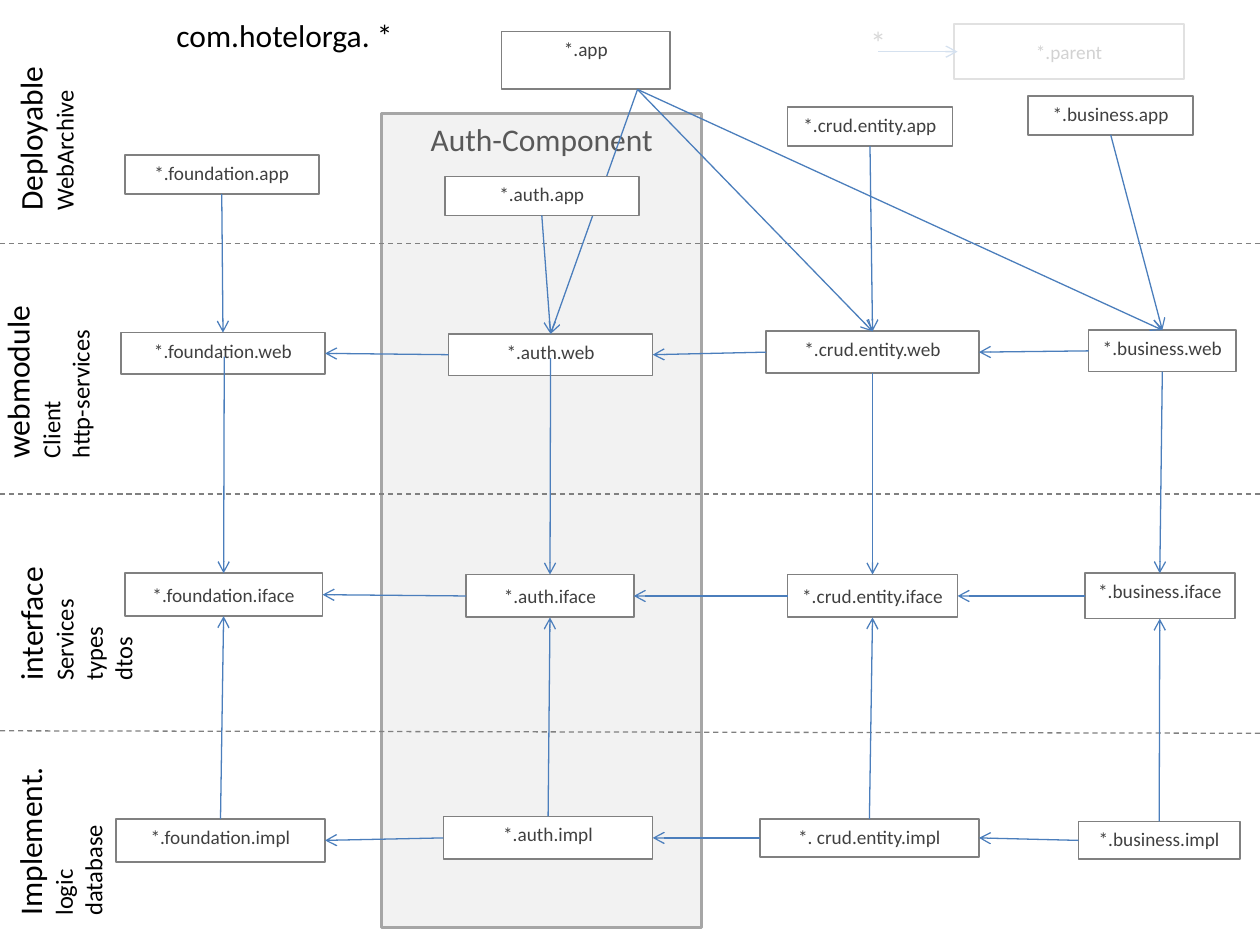
from lxml import etree
from pptx import Presentation
from pptx.dml.color import RGBColor
from pptx.enum.dml import MSO_LINE
from pptx.enum.shapes import MSO_CONNECTOR, MSO_SHAPE
from pptx.enum.text import MSO_ANCHOR, MSO_AUTO_SIZE, PP_ALIGN
from pptx.oxml.ns import qn
from pptx.util import Pt

PX = 9144  # EMU per px, 100 px to the inch
FONT = "Calibri"
BLACK = RGBColor(0x00, 0x00, 0x00)
WHITE = RGBColor(0xFF, 0xFF, 0xFF)
PANEL_FILL = RGBColor(0xF2, 0xF2, 0xF2)
PANEL_LINE = RGBColor(0xA6, 0xA6, 0xA6)
GRAY = RGBColor(0x80, 0x80, 0x80)
HEADING = RGBColor(0x59, 0x59, 0x59)
LABEL = RGBColor(0x40, 0x40, 0x40)
BLUE = RGBColor(0x4B, 0x7E, 0xBC)

STRAIGHT = MSO_CONNECTOR.STRAIGHT
RECT = MSO_SHAPE.RECTANGLE
DASH = MSO_LINE.DASH
TOP, MIDDLE = MSO_ANCHOR.TOP, MSO_ANCHOR.MIDDLE
LEFT, CENTER = PP_ALIGN.LEFT, PP_ALIGN.CENTER
FIT = MSO_AUTO_SIZE.SHAPE_TO_FIT_TEXT
SIDE_TOP, SIDE_LEFT, SIDE_BOTTOM, SIDE_RIGHT = range(4)

# label, frame, fill, anchor
MODULES = [
    ("*.app", (398, 25, 134, 46), None, TOP),
    ("*.parent", (757, 19, 183, 44), None, MIDDLE),
    ("*.foundation.app", (99, 123, 154, 31), WHITE, TOP),
    ("*.business.app", (816, 76, 131, 31), None, TOP),
    ("*.foundation.web", (96, 264, 162, 33), WHITE, TOP),
    ("*.auth.web", (356, 265, 162, 33), WHITE, TOP),
    ("*.crud.entity.web", (608, 263, 169, 33), None, TOP),
    ("*.business.web", (864, 262, 117, 33), None, TOP),
    ("*.foundation.iface", (99, 455, 157, 34), WHITE, MIDDLE),
    ("*.auth.iface", (370, 456, 133, 34), WHITE, MIDDLE),
    ("*.crud.entity.iface", (625, 456, 135, 34), None, MIDDLE),
    ("*.business.iface", (861, 455, 119, 36), None, TOP),
    ("*.foundation.impl", (92, 650, 166, 34), WHITE, TOP),
    ("*.auth.impl", (352, 648, 166, 34), WHITE, TOP),
    ("*. crud.entity.impl", (603, 650, 174, 30), None, TOP),
    ("*.business.impl", (856, 652, 128, 30), None, TOP),
]
# These two cover the arrows that leave *.app
FRONT_MODULES = [
    ("*.auth.app", (353, 140, 154, 31), WHITE, TOP),
    ("*.crud.entity.app", (625, 85, 131, 31), WHITE, TOP),
]
COLUMNS = ["*.foundation", "*.auth", "*.crud.entity", "*.business"]
# Arrows that start inside the web box
INNER_STARTS = {"*.foundation": (178, 283), "*.auth": (437, 284)}
LAYERS = [
    ((-32, 77, 136, 64), ["Deployable", "WebArchive"]),
    ((-34, 258, 143, 88), ["webmodule", "Client", "http-services"]),
    ((4, 439, 111, 111), ["interface", "Services", "types", "dtos"]),
    ((-22, 623, 139, 88), ["Implement.", "logic", "database"]),
]
DIVIDERS = [(193, 193), (392, 392), (580, 582)]


def emu(lengths):
    return [n * PX for n in lengths]


def write(tf, lines, color, align, anchor=TOP):
    """Fill a text frame with (text, size) lines."""
    tf.vertical_anchor = anchor
    for i, (text, size) in enumerate(lines):
        p = tf.paragraphs[0] if i == 0 else tf.add_paragraph()
        p.alignment = align
        r = p.add_run()
        r.text = text
        r.font.name, r.font.size = FONT, Pt(size)
        r.font.color.rgb = color


def set_alpha(sp, percent):
    color = sp.fill._xPr.find(qn("a:solidFill"))[0]
    etree.SubElement(color, qn("a:alpha")).set("val", str(percent * 1000))


def add_box(s, frame, fill, line=None, width=1):
    sp = s.shapes.add_shape(RECT, *emu(frame))
    sp.shadow.inherit = False
    if fill is None:
        sp.fill.background()
    else:
        sp.fill.solid()
        sp.fill.fore_color.rgb = fill
    if line is None:
        sp.line.fill.background()
    else:
        sp.line.color.rgb = line
        sp.line.width = Pt(width)
    return sp


def add_module(s, label, frame, fill, anchor):
    sp = add_box(s, frame, fill, GRAY)
    write(sp.text_frame, [(label, 11)], LABEL, CENTER, anchor)
    return sp


def add_label(s, frame, lines, color=BLACK, rotation=0):
    sp = s.shapes.add_textbox(*emu(frame))
    sp.rotation = rotation
    tf = sp.text_frame
    tf.word_wrap, tf.auto_size = False, FIT
    write(tf, lines, color, LEFT)


def add_line(s, start, end, color):
    c = s.shapes.add_connector(STRAIGHT, *emu(start + end))
    c.line.color.rgb = color
    c.line.width = Pt(0.75)
    etree.SubElement(c._element.spPr, qn("a:effectLst"))
    return c


def add_arrow(s, start, end):
    """Each end is a point or a (shape, side) pair."""
    free = [e if isinstance(e[0], int) else (0, 0) for e in (start, end)]
    c = add_line(s, *free, BLUE)
    if free[0] != start:
        c.begin_connect(*start)
    if free[1] != end:
        c.end_connect(*end)
    etree.SubElement(c.line._get_or_add_ln(), qn("a:tailEnd")).set("type", "arrow")


def add_title(s):
    sp = s.shapes.title
    sp.left, sp.top, sp.width, sp.height = emu((130, 8, 194, 40))
    tf = sp.text_frame
    tf.word_wrap, tf.auto_size = False, FIT
    write(tf, [("com.hotelorga. *", 18)], BLACK, LEFT)


def add_dependencies(s, boxes):
    for column in COLUMNS:
        web, iface = boxes[column + ".web"], boxes[column + ".iface"]
        impl = boxes[column + ".impl"]
        add_arrow(s, (boxes[column + ".app"], SIDE_BOTTOM), (web, SIDE_TOP))
        add_arrow(s, INNER_STARTS.get(column, (web, SIDE_BOTTOM)), (iface, SIDE_TOP))
        add_arrow(s, (impl, SIDE_TOP), (iface, SIDE_BOTTOM))
    for target, source in zip(COLUMNS, COLUMNS[1:]):
        for layer in (".web", ".iface", ".impl"):
            add_arrow(s, (boxes[source + layer], SIDE_LEFT),
                      (boxes[target + layer], SIDE_RIGHT))


def main():
    prs = Presentation()
    prs.slide_width, prs.slide_height = emu((1000, 750))
    s = prs.slides.add_slide(prs.slide_layouts[5])
    add_title(s)

    # Component panel and layer dividers
    panel = add_box(s, (303, 90, 254, 646), PANEL_FILL, PANEL_LINE, 1.75)
    write(panel.text_frame, [("Auth-Component", 18)], HEADING, CENTER)
    for y1, y2 in DIVIDERS:
        add_line(s, (0, y1), (1000, y2), GRAY).line.dash_style = DASH

    # Modules, with the arrows from *.app between the two groups
    boxes = {m[0].replace(" ", ""): add_module(s, *m) for m in MODULES}
    for column in COLUMNS[1:]:
        add_arrow(s, (506, 71), (boxes[column + ".web"], SIDE_TOP))
    boxes.update({m[0]: add_module(s, *m) for m in FRONT_MODULES})
    set_alpha(boxes["*.crud.entity.app"], 82)
    add_dependencies(s, boxes)

    # Layer names
    for frame, (name, *details) in LAYERS:
        add_label(s, frame, [(name, 18)] + [(d, 14) for d in details], rotation=270)

    # Parent reference, faded by a translucent veil
    add_arrow(s, (697, 41), (760, 41))
    add_label(s, (681, 13, 33, 40), [("*", 18)], HEADING)
    set_alpha(add_box(s, (634, 9, 366, 55), WHITE), 77)

    prs.save("out.pptx")


if __name__ == "__main__":
    main()
